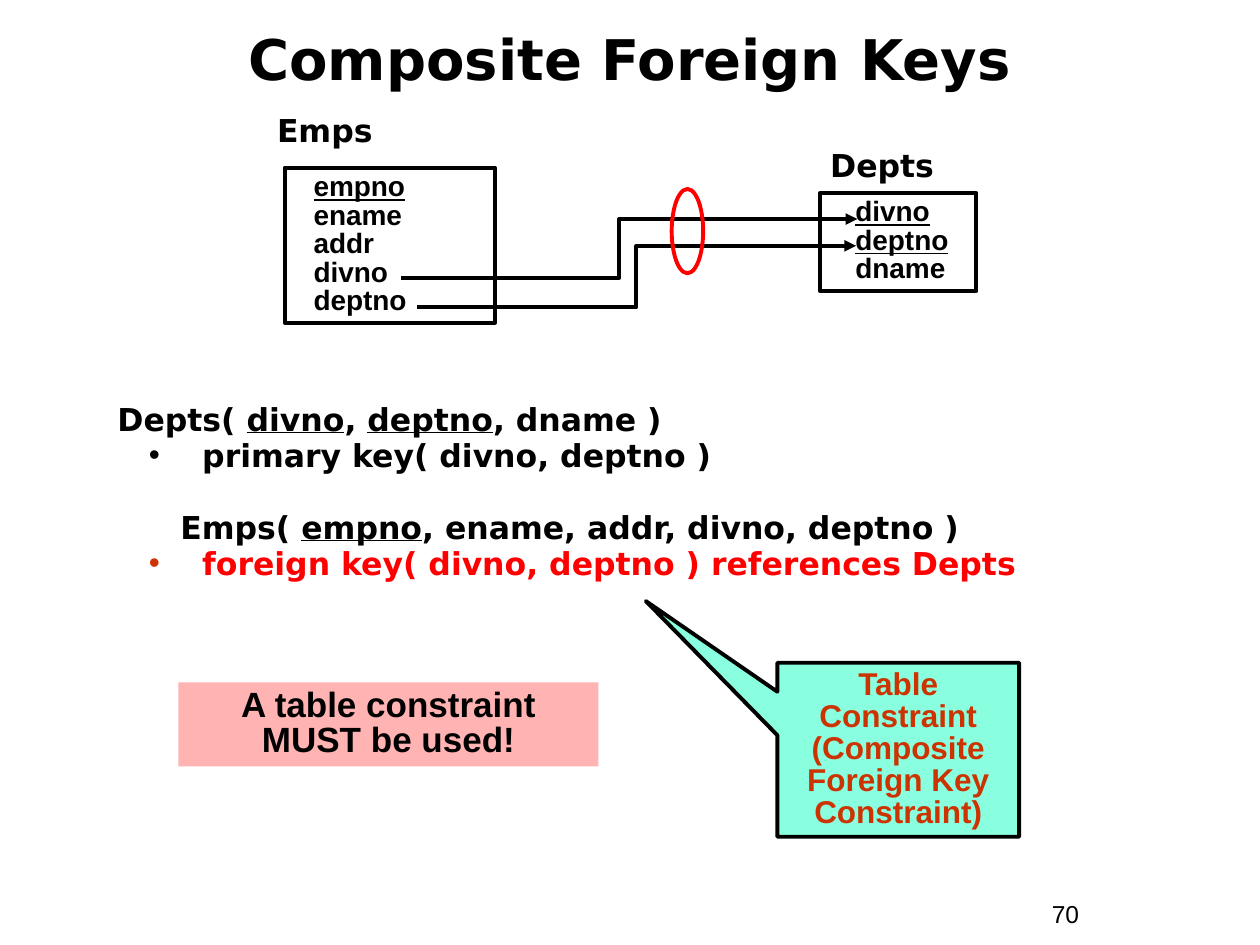
from dataclasses import dataclass

from lxml import etree
from pptx import Presentation
from pptx.dml.color import RGBColor
from pptx.enum import shapes, text
from pptx.oxml import ns
from pptx.util import Pt


@dataclass(frozen=True)
class Theme:
    heading_font: str = "DejaVu Sans"
    body_font: str = "Arial"
    black: str = "000000"
    red: str = "FF0000"
    rust: str = "CC3300"
    mint: str = "89FFE0"
    pink: str = "FFB3B3"
    title: float = 32
    note: float = 20
    body: float = 18
    column: float = 16
    number: float = 14
    stroke: float = 2.25
    tight: float = 0.85


class SlideBuilder:
    def __init__(self, slide, theme):
        self.slide = slide
        self.theme = theme

    def _add_child(self, parent, tag, **attributes):
        return etree.SubElement(parent, ns.qn(tag), attributes)

    def outline(self, line, color):
        line.color.rgb = RGBColor.from_string(color)
        line.width = Pt(self.theme.stroke)

    def run(self, paragraph, words, size, font, color=None, bold=True, underline=False):
        run = paragraph.add_run()
        run.text = words
        run.font.size = Pt(size)
        run.font.name = font
        run.font.bold = bold
        run.font.underline = underline
        run.font.color.rgb = RGBColor.from_string(color or self.theme.black)

    def lines(self, paragraph, rows, size, font, color=None):
        """Rows of one paragraph, parted by line breaks."""
        for index, row in enumerate(rows):
            if index:
                paragraph.add_line_break()
            self.run(paragraph, row, size, font, color)

    def indent(self, paragraph, left, first=0, bullet_color=None):
        properties = paragraph._p.get_or_add_pPr()
        properties.set("marL", str(Pt(left)))
        properties.set("indent", str(Pt(first)))
        if bullet_color:
            color = self._add_child(properties, "a:buClr")
            self._add_child(color, "a:srgbClr", val=bullet_color)
            self._add_child(properties, "a:buFont", typeface=self.theme.body_font)
            self._add_child(properties, "a:buChar", char="•")

    def text_box(self, left, top, width, height):
        box = self.slide.shapes.add_textbox(Pt(left), Pt(top), Pt(width), Pt(height))
        box.text_frame.word_wrap = True
        return box.text_frame

    def label(self, place, words, size, font=None, bold=True, align=text.PP_ALIGN.LEFT):
        frame = self.text_box(*place)
        frame.vertical_anchor = text.MSO_ANCHOR.MIDDLE
        paragraph = frame.paragraphs[0]
        paragraph.alignment = align
        self.run(paragraph, words, size, font or self.theme.heading_font, bold=bold)

    def shape(self, kind, place, fill=None, line=None):
        shape = self.slide.shapes.add_shape(kind, *map(Pt, place))
        shape.shadow.inherit = False
        if fill:
            shape.fill.solid()
            shape.fill.fore_color.rgb = RGBColor.from_string(fill)
        else:
            shape.fill.background()
        if line:
            self.outline(shape.line, line)
        else:
            shape.line.fill.background()
        shape.text_frame.word_wrap = True
        shape.text_frame.vertical_anchor = text.MSO_ANCHOR.TOP
        return shape

    def relation(self, place, columns, keys, left):
        """Boxed column list with its key columns underlined."""
        box = self.shape(shapes.MSO_SHAPE.RECTANGLE, place, line=self.theme.black)
        frame = box.text_frame
        for index, column in enumerate(columns):
            paragraph = frame.add_paragraph() if index else frame.paragraphs[0]
            paragraph.alignment = text.PP_ALIGN.LEFT
            paragraph.line_spacing = self.theme.tight
            self.indent(paragraph, left)
            self.run(paragraph, column, self.theme.column, self.theme.body_font,
                     underline=column in keys)

    def reference(self, start, end, bend):
        """Elbow arrow; bend is the share of the width before the turn."""
        arrow = self.slide.shapes.add_connector(
            shapes.MSO_CONNECTOR.ELBOW, *map(Pt, start + end))
        self.outline(arrow.line, self.theme.black)
        properties = arrow._element.spPr
        guides = properties.find(ns.qn("a:prstGeom")).find(ns.qn("a:avLst"))
        self._add_child(guides, "a:gd", name="adj1", fmla=f"val {round(bend * 100000)}")
        self._add_child(properties.find(ns.qn("a:ln")), "a:tailEnd", type="triangle")
        self._add_child(properties, "a:effectLst")

    def schema(self, place, entries):
        """Entries: (indent, first, bullet colour, space before, text colour, parts)."""
        frame = self.text_box(*place)
        for index, (left, first, bullet, before, color, parts) in enumerate(entries):
            paragraph = frame.add_paragraph() if index else frame.paragraphs[0]
            self.indent(paragraph, left, first, bullet)
            paragraph.line_spacing = self.theme.tight
            paragraph.space_before = Pt(before)
            for words, is_key in parts:
                self.run(paragraph, words, self.theme.body, self.theme.heading_font,
                         color, underline=is_key)

    def note(self, kind, place, rows, fill, size, color, line=None):
        note = self.shape(kind, place, fill, line)
        paragraph = note.text_frame.paragraphs[0]
        paragraph.alignment = text.PP_ALIGN.CENTER
        paragraph.line_spacing = self.theme.tight
        self.lines(paragraph, rows, size, self.theme.body_font, color)
        return note


def main():
    theme = Theme()
    deck = Presentation()
    deck.slide_width, deck.slide_height = Pt(720), Pt(540)
    page = SlideBuilder(deck.slides.add_slide(deck.slide_layouts[6]), theme)

    # Slide number and title
    page.label((594, 509.8, 66, 24.5), "70", theme.number, theme.body_font, bold=False)
    page.label((12, 6, 696, 54), "Composite Foreign Keys", theme.title,
               align=text.PP_ALIGN.CENTER)

    # Relations
    page.label((151.2, 60, 154.8, 28.8), "Emps", theme.body)
    page.relation((162.7, 95.8, 120.2, 88.6),
                  ["empno", "ename", "addr", "divno", "deptno"], {"empno"}, 9.4)
    page.label((467.3, 80, 95, 28.8), "Depts", theme.body)
    page.relation((468.7, 110.2, 89.3, 56.2),
                  ["divno", "deptno", "dname"], {"divno", "deptno"}, 13)

    # Composite key references, ringed as a pair
    page.reference((229, 159.1), (489.9, 125.2), 0.478)
    page.reference((238.2, 175.7), (489.2, 140.5), 0.5)
    page.shape(shapes.MSO_SHAPE.OVAL, (383.8, 108, 18, 48.2), line=theme.red)

    # Schema text
    gap, section_gap = 2.2, 22.8
    page.schema((60, 228.2, 563.8, 128.9), [
        (0, 0, None, 0, theme.black,
         [("Depts( ", False), ("divno", True), (", ", False), ("deptno", True),
          (", dname )", False)]),
        (48.5, -30.5, theme.black, gap, theme.black,
         [("primary key( divno, deptno )", False)]),
        (36, 0, None, section_gap, theme.black,
         [("Emps( ", False), ("empno", True),
          (", ename, addr, divno, deptno )", False)]),
        (48.5, -30.5, theme.rust, gap, theme.red,
         [("foreign key( divno, deptno ) references Depts", False)]),
    ])

    # Callout and warning
    callout = page.note(
        shapes.MSO_SHAPE.RECTANGULAR_CALLOUT, (444.2, 378.7, 138.2, 99.4),
        ["Table", "Constraint", "(Composite Foreign Key Constraint)"],
        theme.mint, theme.body, theme.rust, theme.black)
    callout.text_frame.vertical_anchor = text.MSO_ANCHOR.MIDDLE
    callout.adjustments[0], callout.adjustments[1] = -1.044, -0.855
    page.note(shapes.MSO_SHAPE.RECTANGLE, (102, 390, 240, 48),
              ["A table constraint", "MUST be used!"],
              theme.pink, theme.note, theme.black)

    deck.save("out.pptx")


if __name__ == "__main__":
    main()
